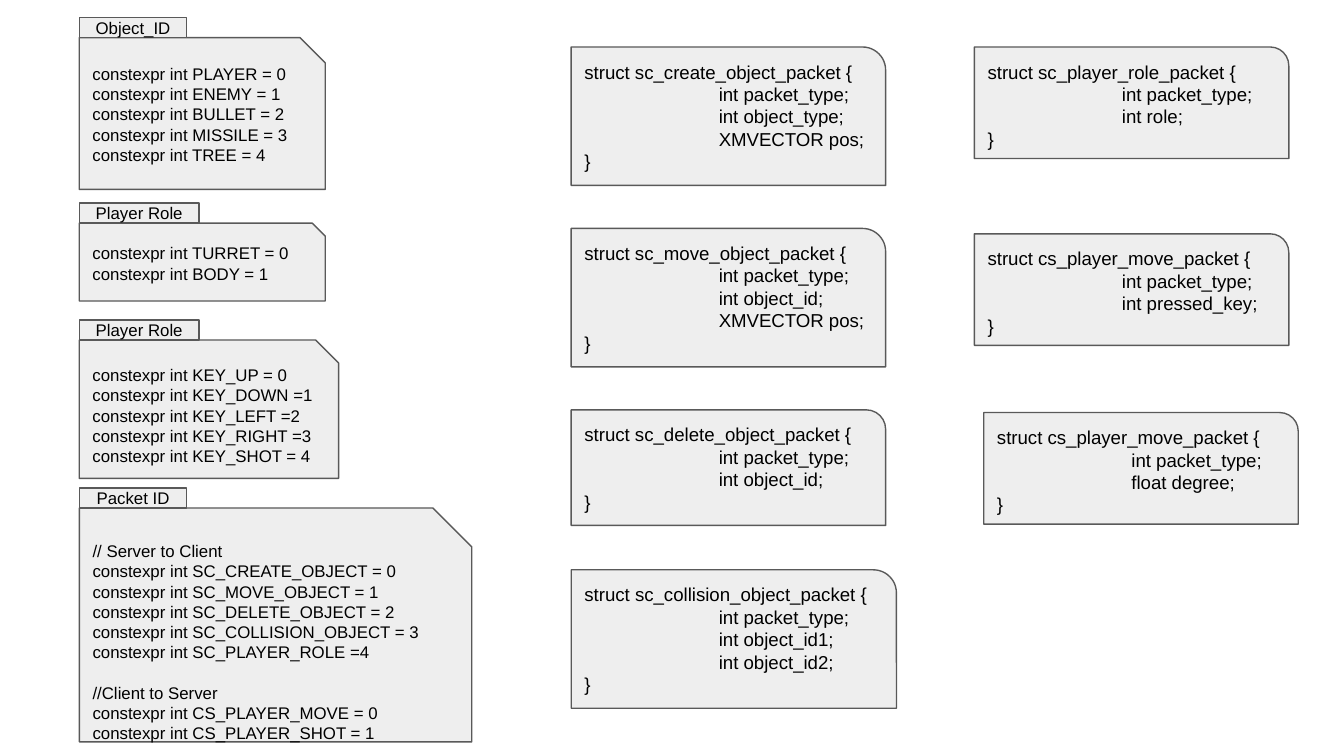
from dataclasses import dataclass

from lxml import etree
from pptx import Presentation
from pptx import util as u
from pptx.dml.color import RGBColor
from pptx.enum import shapes, text
from pptx.oxml import ns

# The slide is 16:9; places are given in square cells, 1000 to its width.
SLIDE_WIDTH = u.Inches(10)
SLIDE_HEIGHT = SLIDE_WIDTH * 9 // 16
CELL = SLIDE_WIDTH // 1000
TAB_ROWS = 15
COLORS = {"panel": "EEEEEE", "outline": "595959", "ink": "000000"}
FONT = "Arial"
CONSTANTS_LEFT, SERVER_LEFT, PLAYER_LEFT = 59, 425, 725


@dataclass
class ConstantGroup:
    """A labelled group of constants; sections are set apart by a line."""
    label: str
    label_columns: int
    top: int
    columns: int
    rows: int
    sections: list[list[str]]


@dataclass
class Packet:
    """A packet struct with its fields."""
    name: str
    left: int
    top: int
    columns: int
    rows: int
    fields: list[str]


def constants(*assignments: str) -> list[str]:
    """Write each assignment as a constexpr declaration."""
    return [f"constexpr int {assignment}" for assignment in assignments]


GROUPS = [
    ConstantGroup("Object_ID", 80, 13, 183, 113, [
        constants("PLAYER = 0", "ENEMY = 1", "BULLET = 2", "MISSILE = 3", "TREE = 4")]),
    ConstantGroup("Player Role", 89, 151, 183, 58, [constants("TURRET = 0", "BODY = 1")]),
    ConstantGroup("Packet ID", 80, 363, 292, 174, [
        ["// Server to Client"] + constants(
            "SC_CREATE_OBJECT = 0", "SC_MOVE_OBJECT = 1", "SC_DELETE_OBJECT = 2",
            "SC_COLLISION_OBJECT = 3", "SC_PLAYER_ROLE =4"),
        ["//Client to Server"] + constants("CS_PLAYER_MOVE = 0", "CS_PLAYER_SHOT = 1")]),
    ConstantGroup("Player Role", 89, 238, 193, 103, [
        constants("KEY_UP = 0", "KEY_DOWN =1", "KEY_LEFT =2", "KEY_RIGHT =3", "KEY_SHOT = 4")]),
]

PACKETS = [
    Packet("sc_create_object_packet", SERVER_LEFT, 35, 234, 103,
           ["int object_type", "XMVECTOR pos"]),
    Packet("sc_move_object_packet", SERVER_LEFT, 170, 234, 103,
           ["int object_id", "XMVECTOR pos"]),
    Packet("sc_delete_object_packet", SERVER_LEFT, 305, 234, 86, ["int object_id"]),
    Packet("sc_collision_object_packet", SERVER_LEFT, 424, 242, 103,
           ["int object_id1", "int object_id2"]),
    Packet("sc_player_role_packet", PLAYER_LEFT, 35, 234, 83, ["int role"]),
    Packet("cs_player_move_packet", PLAYER_LEFT, 174, 234, 83, ["int pressed_key"]),
    Packet("cs_player_move_packet", PLAYER_LEFT + 7, 307, 234, 83, ["float degree"]),
]


def add_panel(slide, outline, left: int, top: int, columns: int, rows: int):
    """Add a grey outlined panel on the grid and return its text frame."""
    panel = slide.shapes.add_shape(
        outline, *(CELL * cells for cells in (left, top, columns, rows)))
    panel.shadow.inherit = False
    panel.fill.solid()
    panel.fill.fore_color.rgb = RGBColor.from_string(COLORS["panel"])
    panel.line.color.rgb = RGBColor.from_string(COLORS["outline"])
    panel.line.width = u.Pt(0.75)
    frame = panel.text_frame
    frame.word_wrap = True
    frame.margin_left = frame.margin_right = u.Inches(0.1)
    frame.margin_top = frame.margin_bottom = u.Inches(0.1)
    frame.vertical_anchor = text.MSO_ANCHOR.TOP
    return frame


def write_lines(frame, lines: list[str], size: int, align=text.PP_ALIGN.LEFT) -> None:
    """Write one paragraph per line."""
    frame.text = "\n".join(lines)
    for paragraph in frame.paragraphs:
        paragraph.alignment = align
        paragraph.font.name = FONT
        paragraph.font.size = u.Pt(size)
        paragraph.font.color.rgb = RGBColor.from_string(COLORS["ink"])


def set_tab_stop(paragraph, position: int) -> None:
    """Place a left tab stop ahead of the paragraph's default font."""
    tabs = etree.Element(ns.qn("a:tabLst"))
    etree.SubElement(tabs, ns.qn("a:tab"), pos=str(int(position)), algn="l")
    paragraph._p.get_or_add_pPr().insert(0, tabs)


def draw_group(slide, group: ConstantGroup) -> None:
    """Draw a group of constants under its label tab."""
    size = 9
    body = add_panel(slide, shapes.MSO_SHAPE.SNIP_1_RECTANGLE, CONSTANTS_LEFT,
                     group.top + TAB_ROWS, group.columns, group.rows)
    write_lines(body, sum(group.sections, []), size)
    section_start = 0
    for section in group.sections[:-1]:
        section_start += len(section)
        body.paragraphs[section_start].space_before = u.Pt(size * 1.2)
    label = add_panel(slide, shapes.MSO_SHAPE.RECTANGLE, CONSTANTS_LEFT,
                      group.top, group.label_columns, TAB_ROWS)
    label.vertical_anchor = text.MSO_ANCHOR.MIDDLE
    write_lines(label, [group.label], size, text.PP_ALIGN.CENTER)


def draw_packet(slide, packet: Packet) -> None:
    """Draw a packet struct with its fields at the tab stop."""
    body = add_panel(slide, shapes.MSO_SHAPE.ROUND_1_RECTANGLE, packet.left,
                     packet.top, packet.columns, packet.rows)
    fields = [f"\t{field};" for field in ["int packet_type"] + packet.fields]
    write_lines(body, [f"struct {packet.name} {{", *fields, "}"], 10)
    for paragraph in body.paragraphs[1:-1]:
        set_tab_stop(paragraph, u.Inches(1))


def main() -> None:
    """Build and save the slide."""
    deck = Presentation()
    deck.slide_width, deck.slide_height = SLIDE_WIDTH, SLIDE_HEIGHT
    slide = deck.slides.add_slide(deck.slide_layouts[6])
    for group in GROUPS:
        draw_group(slide, group)
    for packet in PACKETS:
        draw_packet(slide, packet)
    deck.save("out.pptx")


main()
